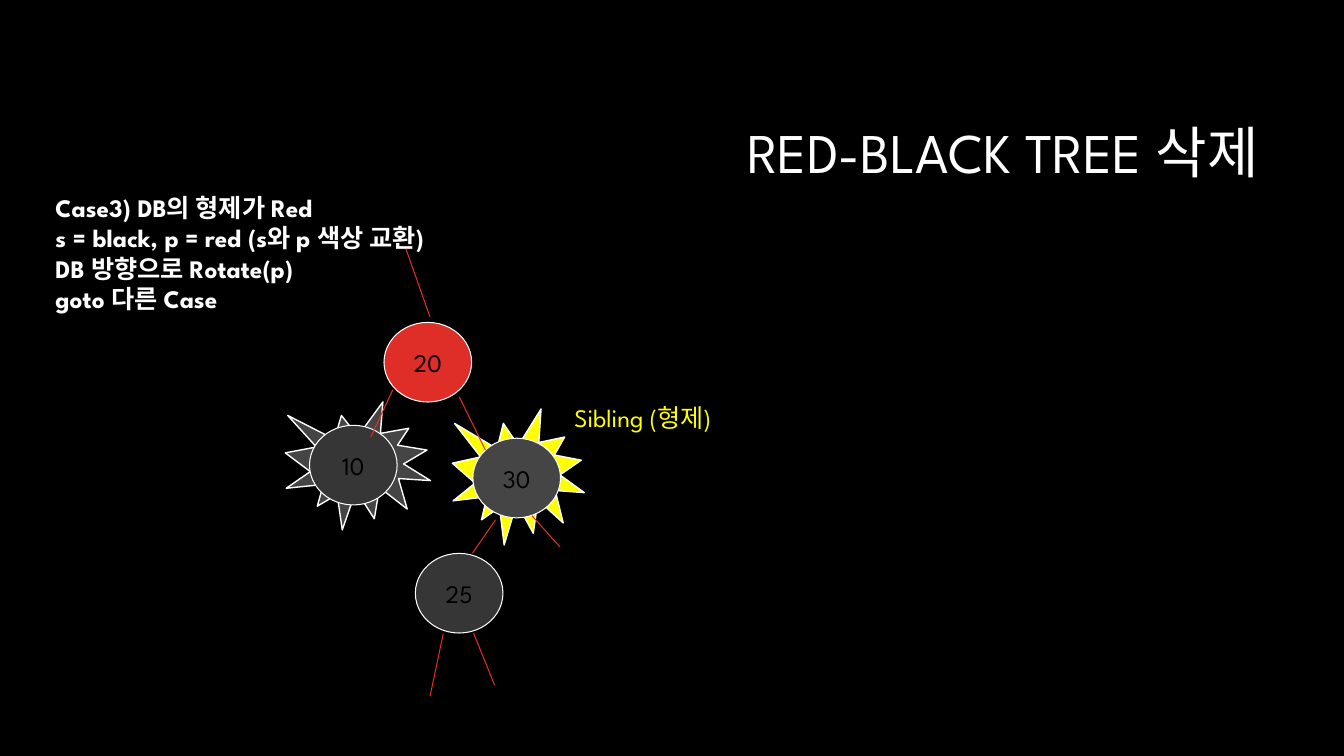
from lxml import etree
from pptx import Presentation
from pptx.dml.color import RGBColor
from pptx.enum.shapes import MSO_CONNECTOR, MSO_SHAPE
from pptx.enum.text import MSO_ANCHOR, MSO_AUTO_SIZE, PP_ALIGN
from pptx.oxml.ns import qn
from pptx.util import Pt

STRAIGHT = MSO_CONNECTOR.STRAIGHT
OVAL, BURST = MSO_SHAPE.OVAL, MSO_SHAPE.EXPLOSION1
TOP, MIDDLE = MSO_ANCHOR.TOP, MSO_ANCHOR.MIDDLE
LEFT, CENTER, RIGHT = PP_ALIGN.LEFT, PP_ALIGN.CENTER, PP_ALIGN.RIGHT
NO_AUTOFIT = MSO_AUTO_SIZE.NONE

COLORS = {
    "background": "000000",
    "text": "FFFFFF",
    "key": "000000",
    "red": "DF2E28",
    "yellow": "FFFF00",
    "gray": "454545",
    "dark": "363636",
}
FONT = "League Spartan"
NODE_WIDTH, NODE_HEIGHT = 62.6, 56.9

BURSTS = [
    ("yellow", 119.3, 114.3, 94.3, 97.2),
    ("gray", 0, 109.3, 103.7, 91.4),
]
NODES = [
    ("20", "red", 70.5, 52.5),
    ("30", "gray", 134, 135.2),
    ("10", "dark", 17.3, 126),
    ("25", "dark", 92.9, 217.5),
]
EDGES = [
    (86.2, 0, 103.4, 48.8),
    (124.3, 105.7, 143, 143.8),
    (76.8, 100.6, 61, 134.5),
    (150.2, 193.5, 133.7, 217.3),
    (176.2, 190.6, 196.3, 213),
    (112.8, 274.9, 103.4, 319.5),
    (134.4, 274.2, 149.5, 311.6),
]
CASE_STEPS = [
    "Case3) DB의 형제가 Red",
    "s = black, p = red (s와 p 색상 교환)",
    "DB 방향으로 Rotate(p)",
    "goto 다른 Case",
]


def color(name):
    return RGBColor.from_string(COLORS[name])


def apply(target, formats):
    for attribute, value in formats.items():
        setattr(target, attribute, value)


def place(shape, box):
    apply(shape, dict(zip(("left", "top", "width", "height"), map(Pt, box))))


def write(shape, lines, ink, size=18, bold=False, align=LEFT, anchor=TOP, spacing=1.0):
    frame = shape.text_frame
    apply(frame, {"text": "\n".join(lines), "word_wrap": True,
                  "auto_size": NO_AUTOFIT, "vertical_anchor": anchor})
    for paragraph in frame.paragraphs:
        apply(paragraph, {"alignment": align, "line_spacing": spacing, "space_before": Pt(0)})
        for run in paragraph.runs:
            apply(run.font, {"name": FONT, "size": Pt(size), "bold": bold})
            run.font.color.rgb = color(ink)


def add_figure(slide, kind, fill, box, line_width):
    figure = slide.shapes.add_shape(kind, *map(Pt, box))
    figure.shadow.inherit = False
    figure.fill.solid()
    figure.fill.fore_color.rgb = color(fill)
    figure.line.color.rgb = color("text")
    figure.line.width = Pt(line_width)
    return figure


def add_edge(slide, start_x, start_y, end_x, end_y):
    edge = slide.shapes.add_connector(STRAIGHT, *map(Pt, (start_x, start_y, end_x, end_y)))
    edge.line.color.rgb = color("red")
    edge.line.width = Pt(0.75)
    etree.SubElement(edge.element.spPr, qn("a:effectLst"))


def build_title(slide, box):
    heading = slide.shapes.title
    place(heading, box)
    write(heading, ["RED-BLACK TREE 삭제"], "text", size=40,
          align=RIGHT, anchor=MIDDLE, spacing=0.9)


def build_case_steps(slide, box):
    steps = slide.placeholders[1]
    place(steps, box)
    write(steps, CASE_STEPS, "text", bold=True)
    for step in steps.text_frame.paragraphs:
        properties = step._p.get_or_add_pPr()
        properties.set("marL", "0")
        properties.set("indent", "0")
        etree.SubElement(properties, qn("a:buNone"))


def build_tree(slide, box):
    left, top = box[:2]
    for fill, x, y, width, height in BURSTS:
        add_figure(slide, BURST, fill, (left + x, top + y, width, height), 1)
    for key, fill, x, y in NODES:
        node = add_figure(slide, OVAL, fill,
                          (left + x, top + y, NODE_WIDTH, NODE_HEIGHT), 0.75)
        write(node, [key], "key", align=CENTER, anchor=MIDDLE)
    for start_x, start_y, end_x, end_y in EDGES:
        add_edge(slide, left + start_x, top + start_y, left + end_x, top + end_y)


def build_sibling_label(slide, box):
    sibling = slide.shapes.add_textbox(*map(Pt, box))
    write(sibling, ["Sibling (형제)"], "yellow")


def main():
    deck = Presentation()
    apply(deck, {"slide_width": Pt(960), "slide_height": Pt(540)})
    slide = deck.slides.add_slide(deck.slide_layouts[1])
    slide.background.fill.solid()
    slide.background.fill.fore_color.rgb = color("background")
    build_title(slide, (228.2, 60.5, 678.2, 101.5))
    build_case_steps(slide, (32.4, 133.9, 486, 116.6))
    build_tree(slide, (203.8, 177.8, 213.8, 320))
    build_sibling_label(slide, (403.2, 283.7, 297.4, 28.8))
    deck.save("out.pptx")


if __name__ == "__main__":
    main()
